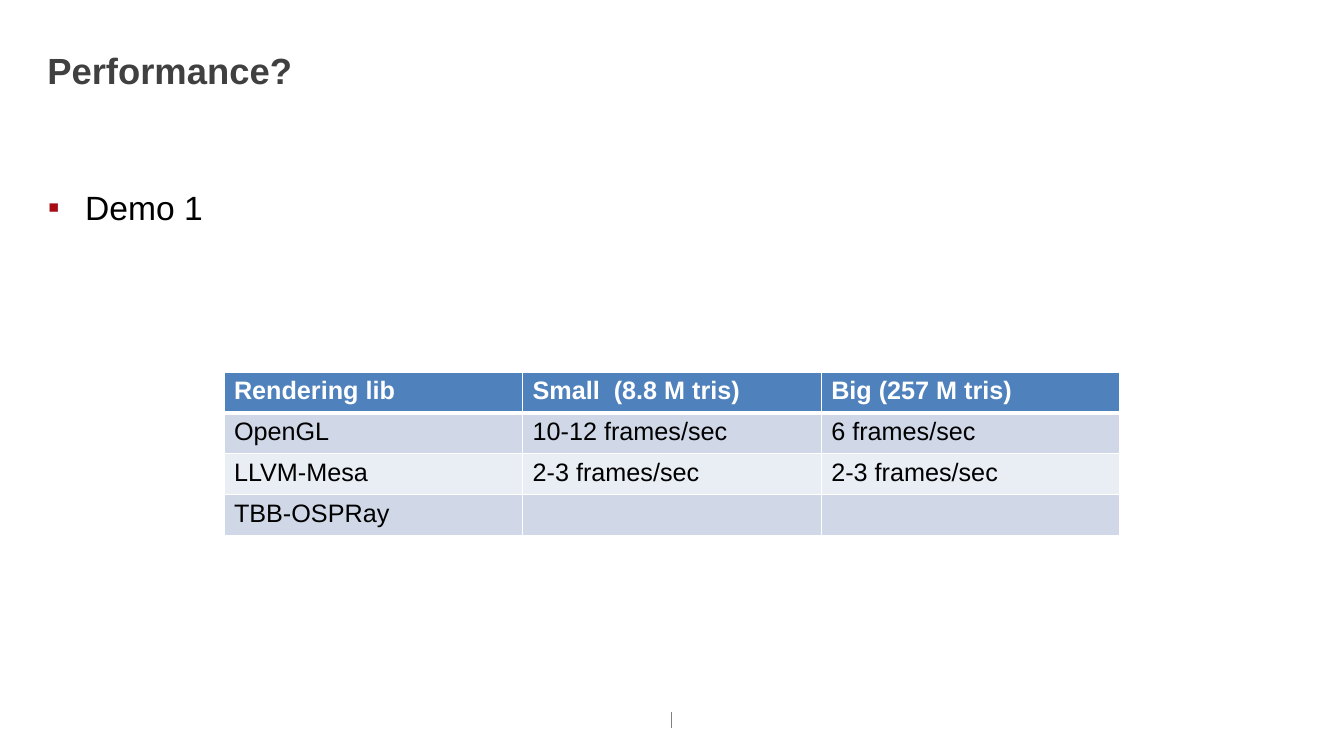
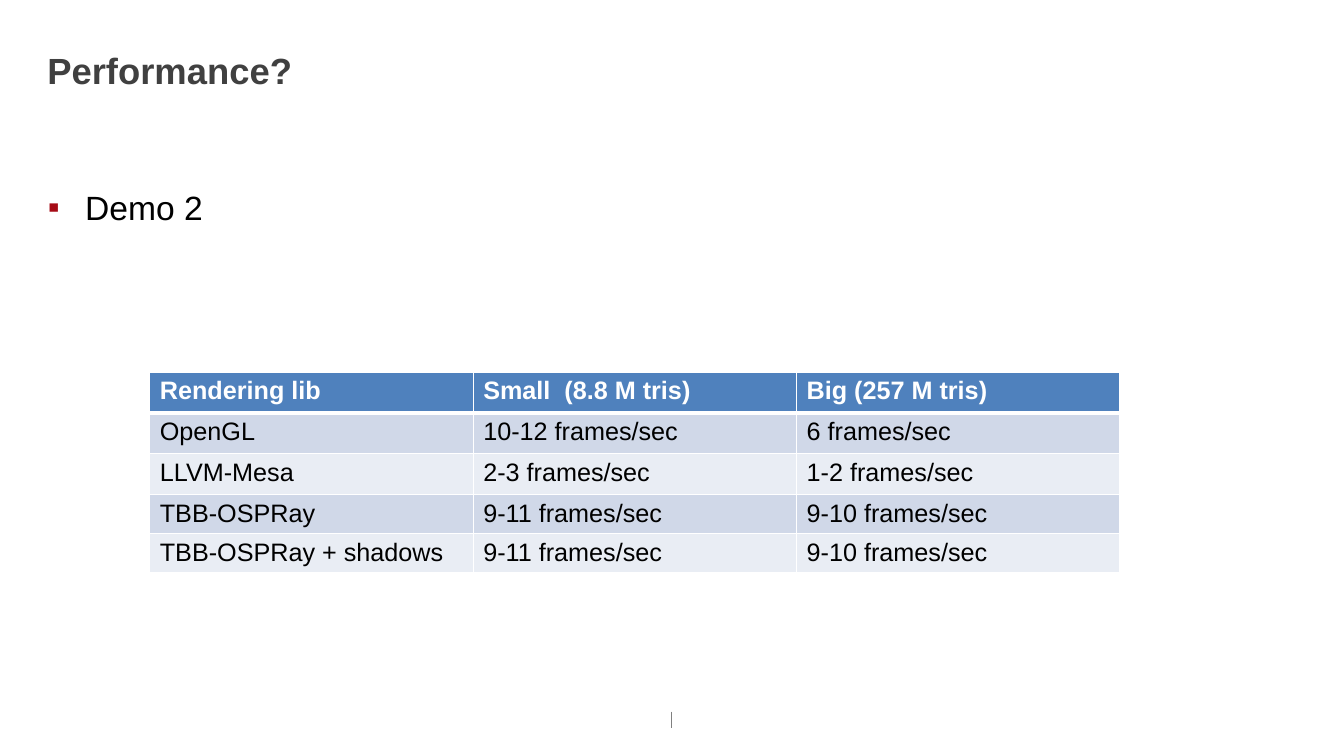
from dataclasses import dataclass

from lxml.etree import SubElement
from pptx import Presentation
from pptx.dml.color import RGBColor
from pptx.enum.shapes import MSO_CONNECTOR
from pptx.enum.text import MSO_ANCHOR, MSO_AUTO_SIZE, PP_ALIGN
from pptx.oxml import parse_xml
from pptx.oxml.ns import nsdecls, qn
from pptx.util import Pt


@dataclass(frozen=True)
class Theme:
    font: str = "Arial"
    title_size: int = 26
    body_size: int = 24
    table_size: int = 18
    title: str = "404040"
    text: str = "000000"
    white: str = "FFFFFF"
    bullet: str = "A60B16"
    divider: str = "808080"
    header: str = "4F81BD"
    bands: tuple = ("D0D8E8", "E9EDF4")


theme = Theme()

# Slide content
header_row = ("Rendering lib", "Small  (8.8 M tris)", "Big (257 M tris)")
demos = [
    {
        "bullet": "Demo 1",
        "left": 160,
        "row_heights": (29.2, 29.2, 29.2, 29.2),
        "rows": [
            ("OpenGL", "10-12 frames/sec", "6 frames/sec"),
            ("LLVM-Mesa", "2-3 frames/sec", "2-3 frames/sec"),
            ("TBB-OSPRay", "", ""),
        ],
    },
    {
        "bullet": "Demo 2",
        "left": 107,
        "row_heights": (29.2, 29.2, 29.2, 28, 28),
        "rows": [
            ("OpenGL", "10-12 frames/sec", "6 frames/sec"),
            ("LLVM-Mesa", "2-3 frames/sec", "1-2 frames/sec"),
            ("TBB-OSPRay", "9-11 frames/sec", "9-10 frames/sec"),
            ("TBB-OSPRay + shadows", "9-11 frames/sec", "9-10 frames/sec"),
        ],
    },
]

# Shared geometry, in points
content_left, content_width = 33.8, 891.4
table_top, table_right = 265.7, 800
divider_x, divider_top, divider_bottom = 479.8, 508.3, 519.8


def style_text(paragraph, size, color, bold=False):
    font_format = {"name": theme.font, "size": Pt(size), "bold": bold}
    for attribute, value in font_format.items():
        setattr(paragraph.font, attribute, value)
    paragraph.font.color.rgb = RGBColor.from_string(color)


def place_text(shape, top, height, frame_format):
    box = {"left": content_left, "top": top, "width": content_width, "height": height}
    for attribute, value in box.items():
        setattr(shape, attribute, Pt(value))
    shared_format = {
        "word_wrap": True,
        "auto_size": MSO_AUTO_SIZE.NONE,
        "margin_left": 0,
        "margin_right": 0,
    }
    for attribute, value in (shared_format | frame_format).items():
        setattr(shape.text_frame, attribute, value)


presentation = Presentation()
presentation.slide_width, presentation.slide_height = Pt(960), Pt(540)
title_only = presentation.slide_layouts[5]

for demo in demos:
    slide = presentation.slides.add_slide(title_only)

    # Footer divider
    divider = slide.shapes.add_connector(
        MSO_CONNECTOR.STRAIGHT,
        Pt(divider_x), Pt(divider_top), Pt(divider_x), Pt(divider_bottom),
    )
    divider.line.color.rgb = RGBColor.from_string(theme.divider)
    divider.line.width = Pt(0.75)
    SubElement(divider.element.spPr, qn("a:effectLst"))

    # Title
    title = slide.shapes.title
    place_text(title, 3.6, 67.7, {
        "vertical_anchor": MSO_ANCHOR.BOTTOM, "margin_top": 0, "margin_bottom": Pt(5.8),
    })
    title.text_frame.text = "Performance?"
    paragraph = title.text_frame.paragraphs[0]
    paragraph.alignment = PP_ALIGN.LEFT
    style_text(paragraph, theme.title_size, theme.title, bold=True)

    # Bullet, set down from the top of the body area
    body = slide.shapes.add_textbox(0, 0, 0, 0)
    place_text(body, 85.7, 404.6, {
        "vertical_anchor": MSO_ANCHOR.TOP, "margin_top": Pt(47.5), "margin_bottom": Pt(3.6),
    })
    paragraph = body.text_frame.paragraphs[0]
    paragraph.text = demo["bullet"]
    properties = paragraph._p.get_or_add_pPr()
    properties.set("marL", str(Pt(27)))
    properties.set("indent", str(Pt(-26.6)))
    bullet_color = SubElement(properties, qn("a:buClr"))
    SubElement(bullet_color, qn("a:srgbClr"), val=theme.bullet)
    SubElement(properties, qn("a:buFont"), typeface=theme.font)
    SubElement(properties, qn("a:buChar"), char="▪")
    style_text(paragraph, theme.body_size, theme.text)

    # Frame rate table
    rows = [header_row, *demo["rows"]]
    table_width = table_right - demo["left"]
    table = slide.shapes.add_table(
        len(rows), len(header_row), Pt(demo["left"]), Pt(table_top),
        Pt(table_width), Pt(sum(demo["row_heights"])),
    ).table
    for column in table.columns:
        column.width = Pt(table_width / len(header_row))
    for row, height in zip(table.rows, demo["row_heights"]):
        row.height = Pt(height)

    for row_index, values in enumerate(rows):
        is_header = row_index == 0
        fill = theme.header if is_header else theme.bands[(row_index - 1) % 2]
        color = theme.white if is_header else theme.text
        borders = {
            "lnL": 1,
            "lnR": 1,
            "lnT": 3 if row_index == 1 else 1,
            "lnB": 3 if is_header else 1,
        }
        for column_index, value in enumerate(values):
            cell = table.cell(row_index, column_index)
            cell.text = value
            style_text(cell.text_frame.paragraphs[0], theme.table_size, color, is_header)
            cell.fill.solid()
            cell.fill.fore_color.rgb = RGBColor.from_string(fill)
            cell_properties = cell._tc.get_or_add_tcPr()
            for position, (edge, width) in enumerate(borders.items()):
                cell_properties.insert(position, parse_xml(
                    f'<a:{edge} {nsdecls("a")} w="{Pt(width)}"><a:solidFill>'
                    f'<a:srgbClr val="{theme.white}"/></a:solidFill></a:{edge}>'
                ))

presentation.save("out.pptx")
